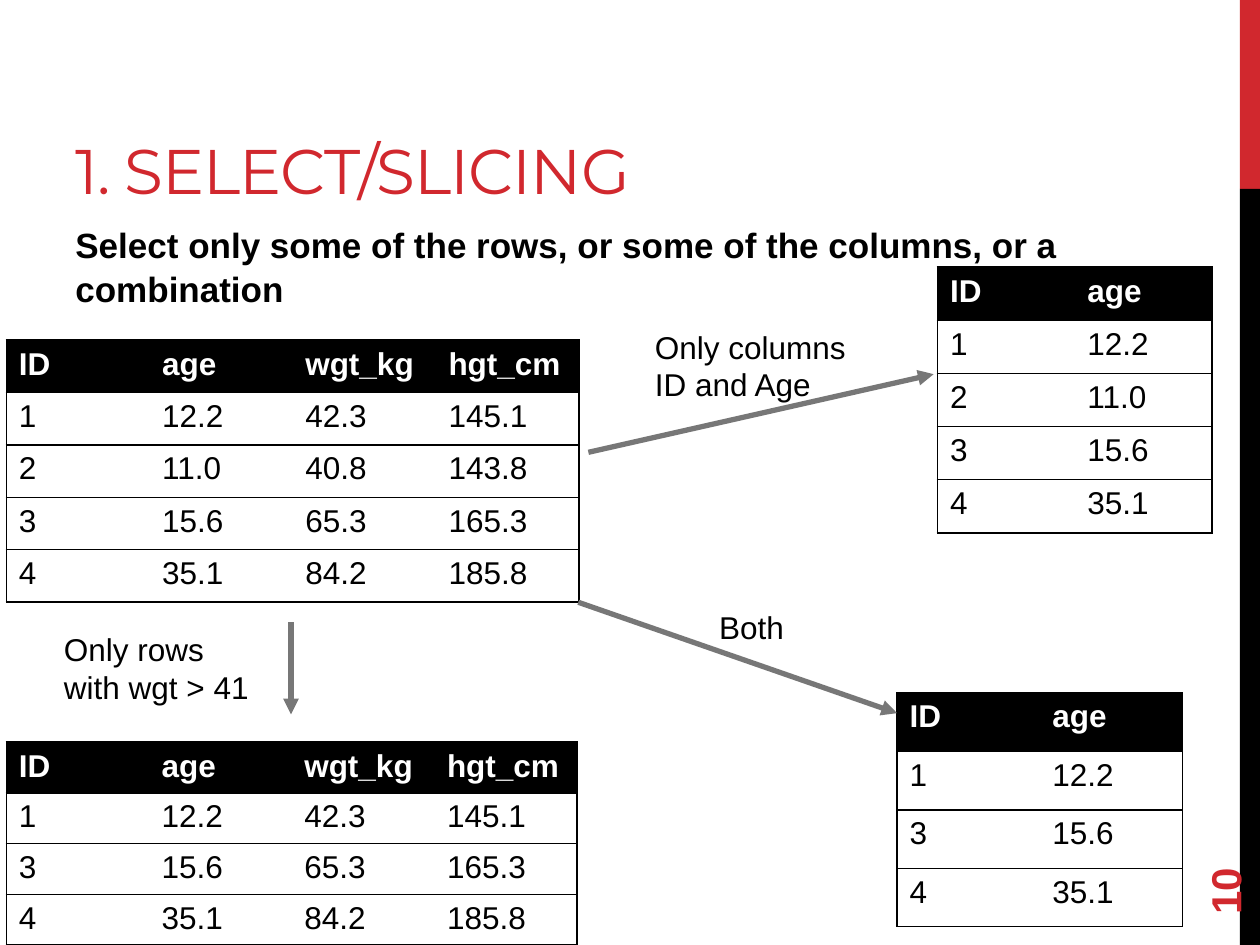
from dataclasses import dataclass

from lxml import etree
from pptx import Presentation
from pptx import util as u
from pptx.dml.color import RGBColor
from pptx.enum import shapes, text
from pptx.oxml import ns

COLS, ROWS = 100, 75
RED, BLACK, WHITE, GREY = "D1282E", "000000", "FFFFFF", "777777"
HEAD = ("ID", "age", "wgt_kg", "hgt_cm")
DATA = (
    ("1", "12.2", "42.3", "145.1"),
    ("2", "11.0", "40.8", "143.8"),
    ("3", "15.6", "65.3", "165.3"),
    ("4", "35.1", "84.2", "185.8"),
)
HEAVY = tuple(row for row in DATA if float(row[2]) > 41)

deck = Presentation()
deck.slide_width, deck.slide_height = u.Inches(10), u.Inches(7.5)
slide = deck.slides.add_slide(deck.slide_layouts[6])


@dataclass
class Grid:
    """A data table: its corner, its cell size and the data it shows."""
    left: float
    top: float
    wide: float
    high: float
    rows: tuple
    cols: int


@dataclass
class Label:
    words: str
    box: tuple
    wrap: bool = False


@dataclass
class Arrow:
    start: tuple
    end: tuple


def span(*vals: float) -> list:
    """Turn alternating columns and rows of the slide grid into lengths."""
    units = (deck.slide_width / COLS, deck.slide_height / ROWS)
    return [u.Emu(round(v * units[i % 2])) for i, v in enumerate(vals)]


def tint(code: str) -> RGBColor:
    return RGBColor.from_string(code)


def write(frame, words: str, size=18, color=BLACK, bold=False, font="Arial",
          space=None, lead=None):
    for i, line in enumerate(words.split("\n")):
        para = frame.paragraphs[0] if i == 0 else frame.add_paragraph()
        para.line_spacing = lead
        run = para.add_run()
        run.text = line
        run.font.size, run.font.bold, run.font.name = u.Pt(size), bold, font
        run.font.color.rgb = tint(color)
        if space is not None:
            run.font._element.set("spc", str(space))


def add_text(words: str, box: tuple, wrap=True, turn=0,
             anchor=text.MSO_ANCHOR.TOP, **style):
    shape = slide.shapes.add_textbox(*span(*box))
    shape.rotation = turn
    frame = shape.text_frame
    frame.word_wrap, frame.vertical_anchor = wrap, anchor
    write(frame, words, **style)


def add_bar(box: tuple, color: str):
    bar = slide.shapes.add_shape(shapes.MSO_SHAPE.RECTANGLE, *span(*box))
    bar.shadow.inherit = False
    bar.fill.solid()
    bar.fill.fore_color.rgb = tint(color)
    bar.line.fill.background()


def set_edges(cell, first: bool, last: bool):
    """Rule a cell above and below, and at the outer sides of its table."""
    props = cell._tc.get_or_add_tcPr()
    sides = {"lnL": first, "lnR": last, "lnT": True, "lnB": True}
    for i, (tag, shown) in enumerate(sides.items()):
        edge = etree.Element(ns.qn("a:" + tag), w=str(u.Pt(1)))
        if shown:
            fill = etree.SubElement(edge, ns.qn("a:solidFill"))
            etree.SubElement(fill, ns.qn("a:srgbClr"), val=BLACK)
        else:
            etree.SubElement(edge, ns.qn("a:noFill"))
        props.insert(i, edge)


def add_grid(grid: Grid):
    lines = (HEAD, *grid.rows)
    box = (grid.left, grid.top, grid.wide * grid.cols, grid.high * len(lines))
    table = slide.shapes.add_table(len(lines), grid.cols, *span(*box)).table
    table.horz_banding = False
    for r, line in enumerate(lines):
        for c, words in enumerate(line[:grid.cols]):
            cell, head = table.cell(r, c), r == 0
            cell.fill.solid()
            cell.fill.fore_color.rgb = tint(BLACK if head else WHITE)
            set_edges(cell, c == 0, c == grid.cols - 1)
            write(cell.text_frame, words, bold=head,
                  color=WHITE if head else BLACK)


def add_arrow(arrow: Arrow):
    link = slide.shapes.add_connector(
        shapes.MSO_CONNECTOR.STRAIGHT, *span(*arrow.start, *arrow.end))
    link.line.width = u.Pt(3)
    link.line.color.rgb = tint(GREY)
    etree.SubElement(link.line._get_or_add_ln(), ns.qn("a:tailEnd"),
                     type="triangle")
    etree.SubElement(link._element.spPr, ns.qn("a:effectLst"))


GRIDS = (
    Grid(0.5, 27, 11.37, 4.16, DATA, 4),
    Grid(74.4, 21.2, 10.9, 4.22, DATA, 2),
    Grid(0.5, 58.9, 11.33, 4.03, HEAVY, 4),
    Grid(71.2, 55, 11.33, 4.64, HEAVY, 2),
)
LABELS = (
    Label("Only columns\nID and Age", (51, 25.5, 17.3, 7.1)),
    Label("Only rows with wgt > 41", (4.1, 49.5, 17.7, 7.1), wrap=True),
    Label("Both", (56.1, 47.8, 7.2, 4)),
)
ARROWS = (
    Arrow((23.1, 49.4), (23.1, 56.7)),
    Arrow((45.9, 47.8), (71.2, 56.6)),
    Arrow((46.7, 35.9), (74.1, 29.7)),
)

add_bar((98.4, 0, 1.6, 15), RED)
add_bar((98.4, 15, 1.6, 60), BLACK)
add_text("1. SELECT/SLICING", (5, 1.9, 63.3, 15), size=36, color=RED,
         font="Montserrat", space=-60, anchor=text.MSO_ANCHOR.BOTTOM)
add_text("Select only some of the rows, or some of the columns, "
         "or a combination", (5, 17.1, 83.3, 8.2), size=20, bold=True,
         lead=1.05)
add_text("10", (90, 64.4, 14.4, 4), turn=270, size=24, color=RED, bold=True,
         anchor=text.MSO_ANCHOR.MIDDLE)
for grid in GRIDS:
    add_grid(grid)
for label in LABELS:
    add_text(label.words, label.box, wrap=label.wrap)
for arrow in ARROWS:
    add_arrow(arrow)

deck.save("out.pptx")
